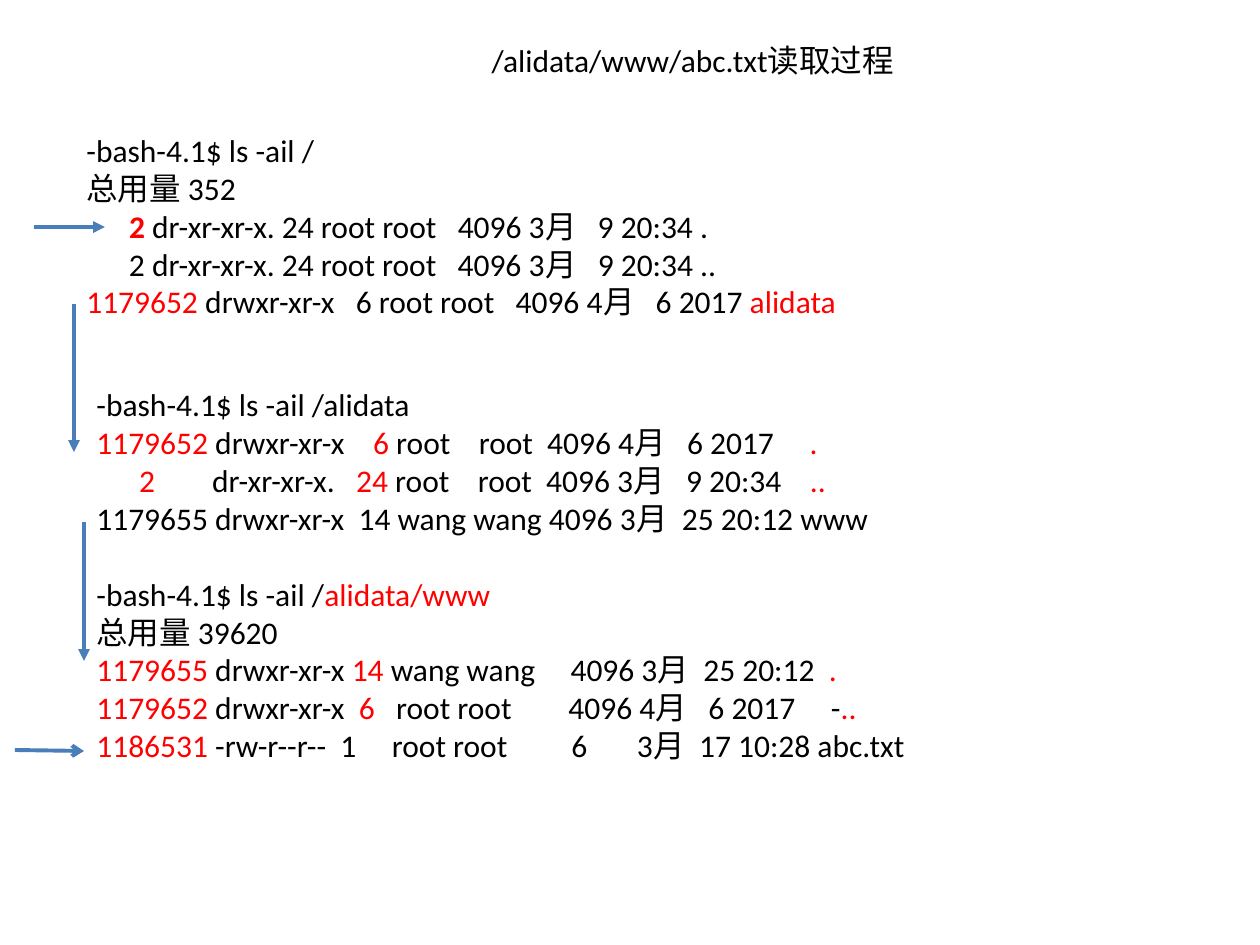
"""Build a slide that follows inode lookups through three directory listings."""
from lxml import etree
from pptx import Presentation
from pptx.dml.color import RGBColor
from pptx.enum.shapes import MSO_CONNECTOR
from pptx.enum.text import MSO_ANCHOR, MSO_AUTO_SIZE, PP_ALIGN
from pptx.oxml.ns import qn
from pptx.util import Emu, Pt

STRAIGHT = MSO_CONNECTOR.STRAIGHT
TOP = MSO_ANCHOR.TOP
NO_FIT = MSO_AUTO_SIZE.NONE
LEFT = PP_ALIGN.LEFT

SCALE = 914400 / 126
TITLE_ONLY = 5

THEME = {
    "font": "Calibri",
    "size": Pt(18),
    "gap": Pt(22),
    "line": Pt(2.25),
    "arrow": RGBColor.from_string("4A7EBB"),
    "plain": RGBColor.from_string("000000"),
    "key": RGBColor.from_string("FF0000"),
}
STYLES = {
    "plain": {"color": THEME["plain"], "bold": False},
    "key": {"color": THEME["key"], "bold": False},
    "strong": {"color": THEME["key"], "bold": True},
}
FRAME_FORMAT = {
    "word_wrap": True,
    "auto_size": NO_FIT,
    "vertical_anchor": TOP,
}

TITLE = [[("plain", "/alidata/www/abc.txt读取过程")]]
ROOT_LISTING = [
    [("plain", "-bash-4.1$ ls -ail /")],
    [("plain", "总用量 352")],
    [
        ("plain", "      "),
        ("strong", "2 "),
        ("plain", "dr-xr-xr-x. 24 root root   4096 3月   9 20:34 ."),
    ],
    [("plain", "      2 dr-xr-xr-x. 24 root root   4096 3月   9 20:34 ..")],
    [
        ("key", "1179652"),
        ("plain", " drwxr-xr-x   6 root root   4096 4月   6 2017 "),
        ("key", "alidata"),
    ],
]
NESTED_LISTINGS = [
    [("plain", "-bash-4.1$ ls -ail /alidata")],
    [
        ("key", "1179652"),
        ("plain", " drwxr-xr-x    "),
        ("key", "6"),
        ("plain", " root    root  4096 4月   6 2017     "),
        ("key", "."),
    ],
    [
        ("plain", "      "),
        ("key", "2       "),
        ("plain", " dr-xr-xr-x.   "),
        ("key", "24"),
        ("plain", " root    root  4096 3月   9 20:34    "),
        ("key", ".."),
    ],
    [("plain", "1179655 drwxr-xr-x  14 wang wang 4096 3月  25 20:12 www")],
    [("plain", "-bash-4.1$ ls -ail /"), ("key", "alidata/www")],
    [("plain", "总用量 39620")],
    [
        ("key", "1179655"),
        ("plain", " drwxr-xr-x "),
        ("key", "14"),
        ("plain", " wang wang     4096 3月  25 20:12  "),
        ("key", "."),
    ],
    [
        ("key", "1179652"),
        ("plain", " drwxr-xr-x  "),
        ("key", "6"),
        ("plain", "   root root        4096 4月   6 2017     -"),
        ("key", ".."),
    ],
    [
        ("key", "1186531"),
        ("plain", " -rw-r--r--  1     root root         6       3月  17 10:28 abc.txt"),
    ],
]
SECOND_COMMAND = 4

ARROWS = [
    ((84, 522), (84, 661), "triangle"),
    ((74, 304), (74, 452), "triangle"),
    ((34, 227), (105, 227), "triangle"),
    ((15, 750), (84, 751), "arrow"),
]


def px(*lengths):
    return [Emu(round(length * SCALE)) for length in lengths]


def write_lines(box, lines):
    frame = box.text_frame
    for name, value in FRAME_FORMAT.items():
        setattr(frame, name, value)
    for index, line in enumerate(lines):
        para = frame.add_paragraph() if index else frame.paragraphs[0]
        para.alignment = LEFT
        for style, text in line:
            span = para.add_run()
            span.text = text
            span.font.name = THEME["font"]
            span.font.size = THEME["size"]
            span.font.bold = STYLES[style]["bold"]
            span.font.color.rgb = STYLES[style]["color"]


deck = Presentation()
deck.slide_width, deck.slide_height = px(1260, 945)
page = deck.slides.add_slide(deck.slide_layouts[TITLE_ONLY])

title = page.shapes.title
title.left, title.top, title.width, title.height = px(479, 35, 437, 50)
write_lines(title, TITLE)

root_box = page.shapes.add_textbox(*px(74, 125, 1131, 202))
write_lines(root_box, ROOT_LISTING)

nested_box = page.shapes.add_textbox(*px(84, 379, 1052, 391))
write_lines(nested_box, NESTED_LISTINGS)
nested_box.text_frame.paragraphs[SECOND_COMMAND].space_before = THEME["gap"]

for start, end, head in ARROWS:
    arrow = page.shapes.add_connector(STRAIGHT, *px(*start, *end))
    arrow.line.color.rgb = THEME["arrow"]
    arrow.line.width = THEME["line"]
    outline = arrow.line._get_or_add_ln()
    etree.SubElement(outline, qn("a:tailEnd"), type=head)
    etree.SubElement(outline.getparent(), qn("a:effectLst"))

deck.save("out.pptx")
